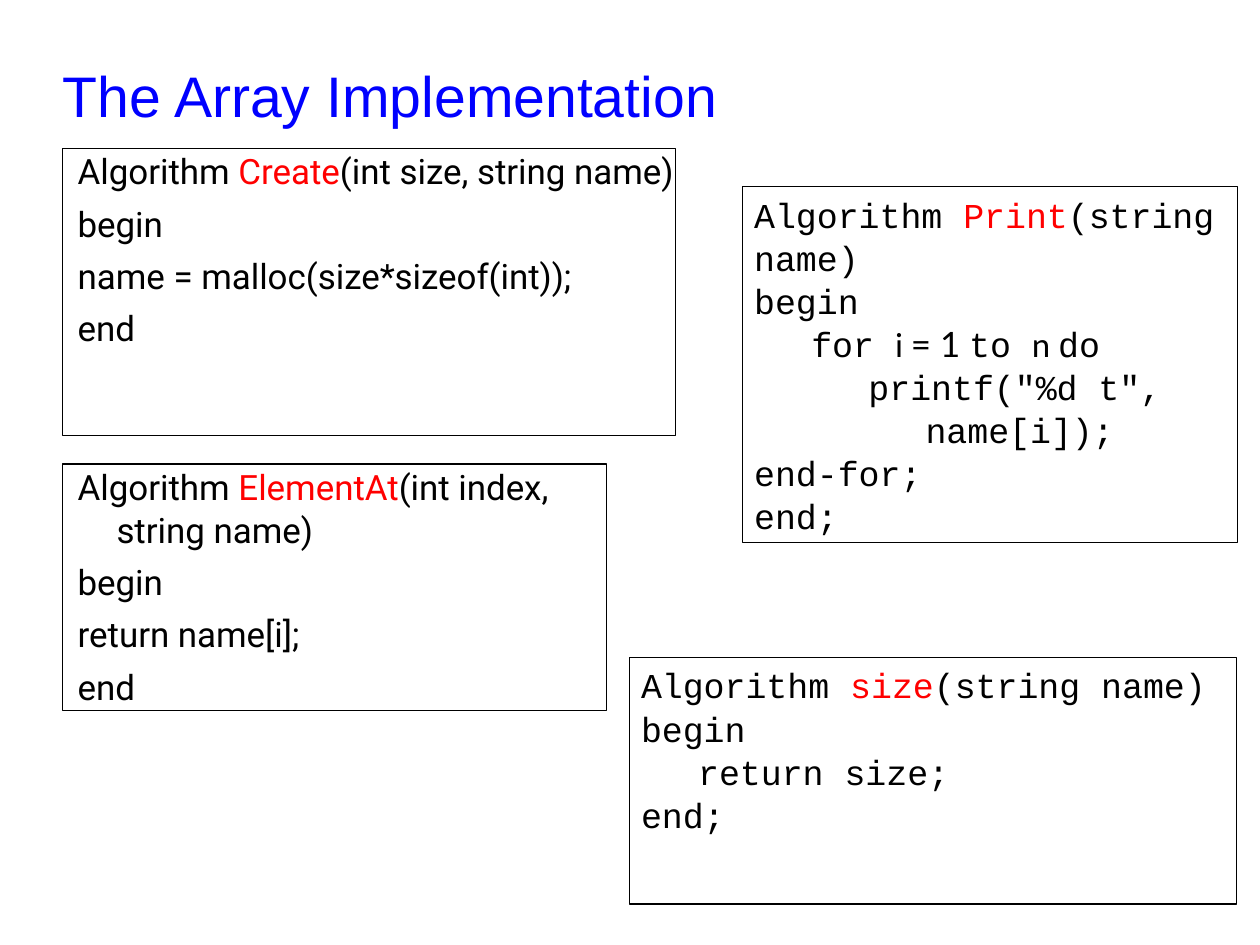
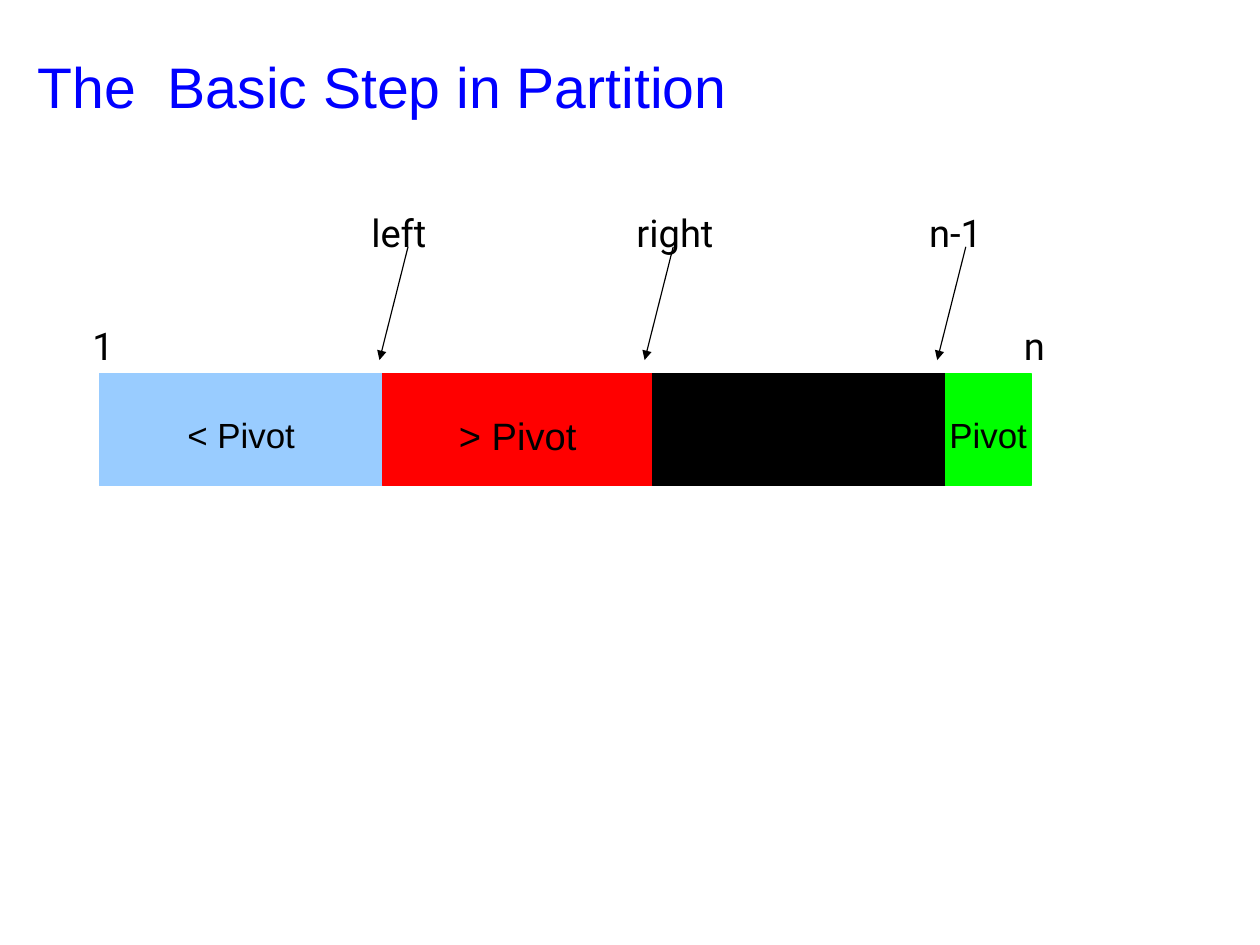
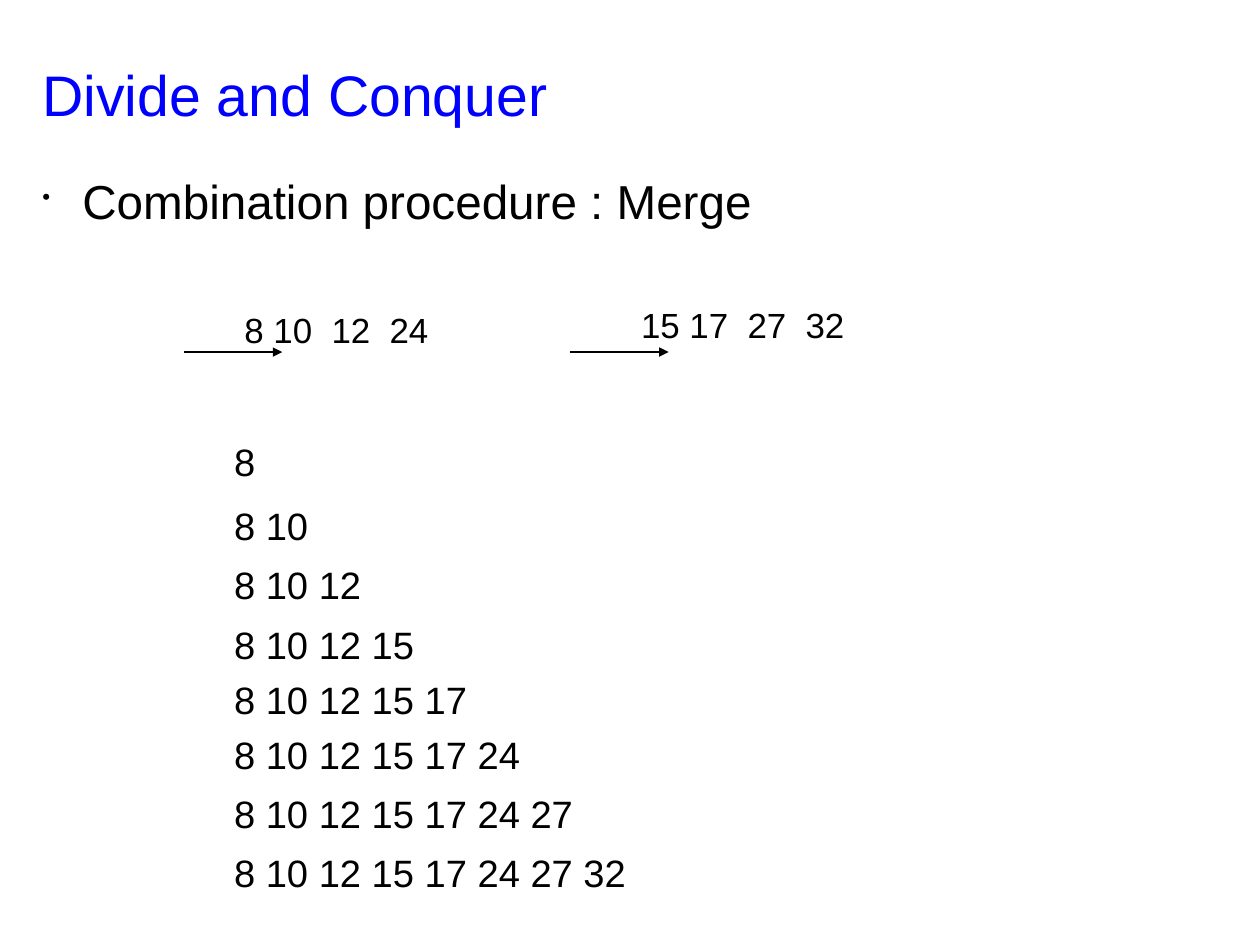
import pptx
import pptx.util
import pptx.dml.color
import pptx.enum.shapes
import pptx.enum.text
import pptx.oxml
import pptx.oxml.ns
from lxml import etree

Inches = pptx.util.Inches
Pt = pptx.util.Pt
RGBColor = pptx.dml.color.RGBColor
ALIGN = pptx.enum.text.PP_ALIGN
ANCHOR = pptx.enum.text.MSO_ANCHOR

# A 4:3 page of 28 by 21 centimetres
SLIDE_WIDTH, SLIDE_HEIGHT = Inches(28 / 2.54), Inches(21 / 2.54)

BLACK = RGBColor(0x00, 0x00, 0x00)
BLUE = RGBColor(0x00, 0x00, 0xFF)
RED = RGBColor(0xFF, 0x00, 0x00)
GREEN = RGBColor(0x00, 0xFF, 0x00)
LIGHT_BLUE = RGBColor(0x99, 0xCC, 0xFF)

# Shared text styles
TAB_STOPS = [0.5 * step for step in range(8)]
PADDING = (0.1, 0.05)
TITLE = dict(font="Arial", size=36, color=BLUE, spacing=1.24, padding=(0, 0), anchor=ANCHOR.MIDDLE)
HEADLINE = dict(font="Arial", size=30, spacing=1.24, padding=(0, 0), hanging=(0.35, -0.35), bullet="•")
NUMBERS = dict(font="Arial", size=24, spacing=1.24)
SOURCE_NUMBERS = dict(NUMBERS, size=22)
SEGMENT = dict(NUMBERS, anchor=ANCHOR.MIDDLE, align=ALIGN.CENTER, wrap=False)
LABEL = dict(font="Roboto", size=24, spacing=1.03)
PROSE_CODE = dict(font="Roboto", size=22, spacing=1.03, padding=(0, 0), hanging=(0.47, -0.34), after=5.8)
MONO_CODE = dict(font="Courier New", size=22, spacing=1.03)

# Slide 1: a line is a string or a list of (text, changed format) runs


def signature(name, arguments):
    return [("Algorithm ", {}), (name, {"color": RED}), (arguments, {})]


LOOP_HEADER = [("\tfor ", {}), ("i ", {"font": "Calibri"}), ("= 1 ", {"font": "Lato"}),
               ("to ", {}), ("n ", {"font": "Calibri"}), ("do", {})]
ALGORITHMS = [
    ((0.55, 1.3, 5.36, 2.51), PROSE_CODE,
     [signature("Create", "(int size, string name)"), "begin",
      "name = malloc(size*sizeof(int));", "end"]),
    ((0.55, 4.06, 4.76, 2.16), PROSE_CODE,
     [signature("ElementAt", "(int index, string name)"), "begin", "return name[i];", "end"]),
    ((6.5, 1.63, 4.33, 3.12), MONO_CODE,
     [signature("Print", "(string name)"), "begin", LOOP_HEADER,
      '\t\tprintf("%d t", \t', "\t\t\tname[i]);", "end-for;", "end;"]),
    ((5.51, 5.75, 5.31, 2.16), MONO_CODE,
     [signature("size", "(string name)"), "begin", "\treturn size;", "end;"]),
]

# Slide 2: text, width, fill, text size
SEGMENTS = [("< Pivot", 2.48, LIGHT_BLUE, 22), ("> Pivot", 2.36, RED, 24),
            ("", 2.56, BLACK, 22), ("Pivot", 0.75, GREEN, 22)]
BAR_LEFT, BAR_TOP, BAR_HEIGHT = 0.87, 3.27, 0.98
POINTERS = [("left", 3.15, 1.18), ("right", 5.47, 1.22), ("n-1", 8.03, 0.83)]
BAR_ENDS = [("1", 0.71), ("n", 8.86)]

# Slide 3
SOURCES = [("8 10  12  24", (2.04, 2.56, 2.39, 0.87), 1.61),
           ("15 17  27  32", (5.51, 2.52, 2.39, 0.69), 4.99)]
MERGED = ["8", "10", "12", "15", "17", "24", "27", "32"]
STEP_TOPS = [3.69, 4.25, 4.77, 5.29, 5.77, 6.25, 6.77, 7.29]


def add_element(parent, tag, **attributes):
    element = etree.SubElement(parent, pptx.oxml.ns.qn(tag))
    for name, value in attributes.items():
        element.set(name, str(value))
    return element


def format_paragraph(paragraph, style):
    values = {"line_spacing": style["spacing"], "alignment": style.get("align", ALIGN.LEFT),
              "space_before": Pt(0), "space_after": Pt(style.get("after", 0))}
    for name, value in values.items():
        setattr(paragraph, name, value)
    properties = paragraph._p.get_or_add_pPr()
    margin, indent = style.get("hanging", (0, 0))
    properties.set("marL", str(Inches(margin)))
    properties.set("indent", str(Inches(indent)))
    if "bullet" in style:
        add_element(add_element(properties, "a:buClr"), "a:srgbClr", val=BLACK)
        add_element(properties, "a:buSzPct", val=49000)
        add_element(properties, "a:buChar", char=style["bullet"])
    else:
        add_element(properties, "a:buNone")
    tabs = add_element(properties, "a:tabLst")
    for stop in TAB_STOPS:
        add_element(tabs, "a:tab", pos=Inches(stop), algn="l")


def write(shape, lines, style):
    frame = shape.text_frame
    side, edge = style.get("padding", PADDING)
    values = {"word_wrap": style.get("wrap", True),
              "vertical_anchor": style.get("anchor", ANCHOR.TOP),
              "margin_left": Inches(side), "margin_right": Inches(side),
              "margin_top": Inches(edge), "margin_bottom": Inches(edge)}
    for name, value in values.items():
        setattr(frame, name, value)
    for index, line in enumerate(lines):
        paragraph = frame.add_paragraph() if index else frame.paragraphs[0]
        format_paragraph(paragraph, style)
        for text, changes in [(line, {})] if isinstance(line, str) else line:
            run = paragraph.add_run()
            run.text = text
            look = {**style, **changes}
            run.font.name = look["font"]
            run.font.size = Pt(look["size"])
            run.font.color.rgb = look.get("color", BLACK)


def add_text(slide, box, text, style):
    write(slide.shapes.add_textbox(*map(Inches, box)), [text], style)


def add_box(slide, box, lines, style, line_color=BLACK, fill=None):
    shape = slide.shapes.add_shape(pptx.enum.shapes.MSO_SHAPE.RECTANGLE, *map(Inches, box))
    shape.shadow.inherit = False
    if fill is None:
        shape.fill.background()
    else:
        shape.fill.solid()
        shape.fill.fore_color.rgb = fill
    shape.line.color.rgb = line_color
    shape.line.width = Pt(0.75)
    if lines:
        write(shape, lines, style)


def add_arrow(slide, *ends):
    arrow = slide.shapes.add_connector(pptx.enum.shapes.MSO_CONNECTOR.STRAIGHT, *map(Inches, ends))
    arrow.line.color.rgb = BLACK
    arrow.line.width = Pt(0.75)
    add_element(arrow.line._get_or_add_ln(), "a:tailEnd", type="triangle")
    add_element(arrow._element.spPr, "a:effectLst")


def add_slide(presentation, title, box):
    slide = presentation.slides.add_slide(presentation.slide_layouts[6])
    add_text(slide, box, title, TITLE)
    return slide


def build_array(presentation):
    slide = add_slide(presentation, "The Array Implementation", (0.55, 0.38, 9.91, 0.75))
    for box, style, lines in ALGORITHMS:
        add_box(slide, box, lines, style)


def build_partition(presentation):
    slide = add_slide(presentation, "The  Basic Step in Partition", (0.33, 0.31, 9, 0.74))
    left = BAR_LEFT
    for text, width, color, size in SEGMENTS:
        add_box(slide, (left, BAR_TOP, width, BAR_HEIGHT), [text] if text else [],
                dict(SEGMENT, size=size), color, color)
        left += width
    for text, label_left in BAR_ENDS:
        add_text(slide, (label_left, 2.76, 0.39, 0.51), text, LABEL)
    for text, label_left, width in POINTERS:
        add_text(slide, (label_left, 1.77, width, 0.59), text, LABEL)
        add_arrow(slide, label_left + 0.42, 2.16, label_left + 0.17, 3.15)


def build_merge(presentation):
    slide = add_slide(presentation, "Divide and Conquer", (0.37, 0.34, 9.92, 0.82))
    add_text(slide, (0.37, 1.38, 9.92, 5.35), "Combination procedure : Merge", HEADLINE)
    for text, box, arrow_left in SOURCES:
        add_text(slide, box, text, SOURCE_NUMBERS)
        add_arrow(slide, arrow_left, 3.08, arrow_left + 0.86, 3.08)
    for count, top in enumerate(STEP_TOPS, start=1):
        add_text(slide, (1.95, top, 7.16, 0.65), " ".join(MERGED[:count]), NUMBERS)


def main():
    presentation = pptx.Presentation()
    presentation.slide_width = SLIDE_WIDTH
    presentation.slide_height = SLIDE_HEIGHT
    for build in (build_array, build_partition, build_merge):
        build(presentation)
    presentation.save("out.pptx")


if __name__ == "__main__":
    main()
